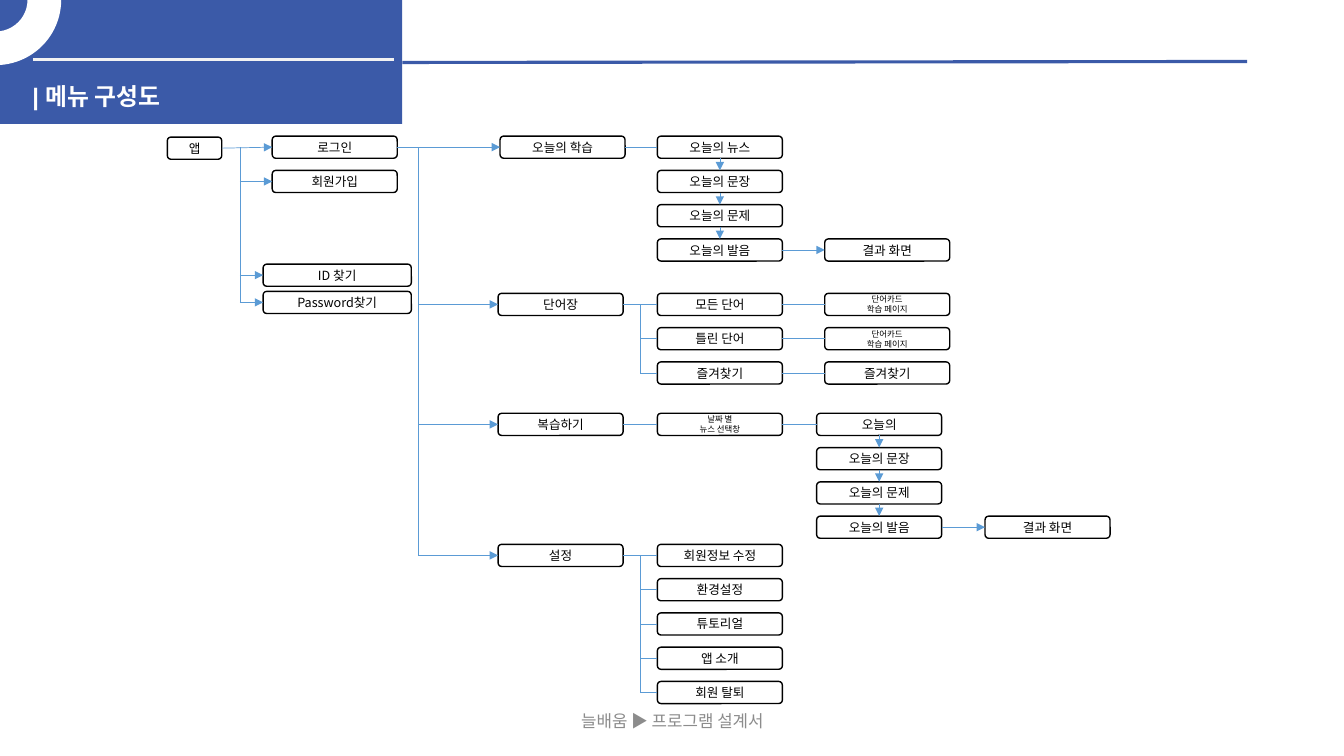
"""Build the app menu structure slide."""
from lxml import etree
from pptx import Presentation
from pptx import util as u
from pptx.dml.color import RGBColor
from pptx.enum import shapes, text
from pptx.oxml.ns import qn

COLORS = {"blue": "3B5AA8", "link": "5B9BD5", "white": "FFFFFF",
          "rule": "F2F2F2", "black": "000000", "gray": "8C8C8C"}
KOREAN = "Noto Sans CJK KR"


def add_run(paragraph, wording, size, color, font=KOREAN):
    run = paragraph.add_run()
    run.text = wording
    run.font.size = u.Pt(size)
    run.font.name = font
    run.font.color.rgb = RGBColor.from_string(COLORS[color])
    etree.SubElement(run.font._element, qn("a:ea")).set("typeface", KOREAN)
    return run


def add_line(x1, y1, x2, y2, color="link", width=0.5, arrow=False):
    line = slide.shapes.add_connector(shapes.MSO_CONNECTOR.STRAIGHT, x1, y1, x2, y2)
    line.line.color.rgb = RGBColor.from_string(COLORS[color])
    line.line.width = u.Pt(width)
    if arrow:
        etree.SubElement(line.line._get_or_add_ln(), qn("a:tailEnd")).set("type", "triangle")
    etree.SubElement(line._element.spPr, qn("a:effectLst"))
    return line


prs = Presentation()
prs.slide_width = u.Inches(13.33)
prs.slide_height = u.Inches(7.5)
slide = prs.slides.add_slide(prs.slide_layouts[5])

footer = slide.shapes.add_textbox(u.Inches(4.42), u.Inches(6.95), u.Inches(4.5), u.Inches(0.4))
footer.text_frame.word_wrap = True
footer.text_frame.vertical_anchor = text.MSO_ANCHOR.MIDDLE
footer_line = footer.text_frame.paragraphs[0]
footer_line.alignment = text.PP_ALIGN.CENTER
add_run(footer_line, "늘배움 ▶ 프로그램 설계서", 12, "gray")

card = "단어카드\n학습 페이지"
menu_columns = {
    "app": (1.66, 1.36, 0.54, 0.34, ["앱"]),
    "entry": (2.7, 1.35, 1.24, 0.34, ["로그인", "회원가입"]),
    "find": (2.61, 2.62, 1.47, 0.27, ["ID 찾기", "Password찾기"]),
    "study": (4.96, 1.35, 1.24, 0.34, ["오늘의 학습"]),
    "wordbook": (4.94, 2.91, 1.24, 0.34, ["단어장"]),
    "review": (4.94, 4.1, 1.24, 0.34, ["복습하기"]),
    "settings": (4.94, 5.4, 1.24, 0.34, ["설정"]),
    "study_steps": (6.52, 1.35, 1.24, 0.34,
                    ["오늘의 뉴스", "오늘의 문장", "오늘의 문제", "오늘의 발음"]),
    "words": (6.52, 2.91, 1.24, 0.34, ["모든 단어", "틀린 단어", "즐겨찾기"]),
    "dates": (6.52, 4.1, 1.24, 0.34, ["날짜 별\n뉴스 선택창"]),
    "options": (6.52, 5.4, 1.24, 0.34,
                ["회원정보 수정", "환경설정", "튜토리얼", "앱 소개", "회원 탈퇴"]),
    "study_result": (8.18, 2.37, 1.24, 0.34, ["결과 화면"]),
    "cards": (8.18, 2.91, 1.24, 0.34, [card, card, "즐겨찾기"]),
    "review_steps": (8.1, 4.1, 1.24, 0.34,
                     ["오늘의", "오늘의 문장", "오늘의 문제", "오늘의 발음"]),
    "review_result": (9.77, 5.12, 1.24, 0.34, ["결과 화면"]),
}
menu = {}
for column, (left, top, width, pitch, labels) in menu_columns.items():
    menu[column] = []
    for row, label in enumerate(labels):
        box = slide.shapes.add_shape(
            shapes.MSO_SHAPE.ROUNDED_RECTANGLE, u.Inches(left),
            u.Inches(top + row * pitch), u.Inches(width), u.Inches(0.22))
        box.shadow.inherit = False
        box.fill.solid()
        box.fill.fore_color.rgb = RGBColor.from_string(COLORS["white"])
        box.line.color.rgb = RGBColor.from_string(COLORS["black"])
        box.line.width = u.Pt(1)
        frame = box.text_frame
        frame.margin_top = frame.margin_bottom = 0
        frame.vertical_anchor = text.MSO_ANCHOR.MIDDLE
        parts = label.split("\n")
        for index, part in enumerate(parts):
            paragraph = frame.paragraphs[0] if index == 0 else frame.add_paragraph()
            paragraph.alignment = text.PP_ALIGN.CENTER
            add_run(paragraph, part, 9 if len(parts) == 1 else 6, "black")
        menu[column].append(box)

app, login, signup = menu["app"][0], *menu["entry"]
study, wordbook, review, settings = (
    menu[name][0] for name in ("study", "wordbook", "review", "settings"))
study_steps, review_steps = menu["study_steps"], menu["review_steps"]

links = [
    (study, 3, study_steps[0], 1, False),
    (review, 3, menu["dates"][0], 1, False),
    (menu["dates"][0], 3, review_steps[0], 1, False),
    (study_steps[-1], 3, menu["study_result"][0], 1, True),
    (review_steps[-1], 3, menu["review_result"][0], 1, True),
]
links += [(word, 3, page, 1, False) for word, page in zip(menu["words"], menu["cards"])]
for steps in (study_steps, review_steps):
    links += [(step, 2, following, 0, True) for step, following in zip(steps, steps[1:])]

branches = [
    (2.38, app, [login, signup, *menu["find"]], True),
    (4.15, login, [study, wordbook, review, settings], True),
    (6.35, wordbook, menu["words"], False),
    (6.35, settings, menu["options"], False),
]
for trunk, parent, children, arrow in branches:
    links.append((parent, 3, children[0], 1, arrow))
    trunk_x = u.Inches(trunk)
    middles = [child.top + child.height // 2 for child in children]
    add_line(trunk_x, middles[0], trunk_x, middles[-1])
    for child, middle in zip(children[1:], middles[1:]):
        add_line(trunk_x, middle, child.left, middle, arrow=arrow).end_connect(child, 1)

for source, source_side, target, target_side, arrow in links:
    link = add_line(source.left, source.top, target.left, target.top, arrow=arrow)
    link.begin_connect(source, source_side)
    link.end_connect(target, target_side)

banner = slide.shapes.add_shape(
    shapes.MSO_SHAPE.RECTANGLE, u.Inches(-0.02), 0, u.Inches(4.01), u.Inches(1.23))
banner.shadow.inherit = False
banner.fill.solid()
banner.fill.fore_color.rgb = RGBColor.from_string(COLORS["blue"])
banner.line.fill.background()
add_line(u.Inches(3.99), u.Inches(0.62), u.Inches(12.37), u.Inches(0.61), "blue", 2.25)

title = slide.shapes.title
title.left, title.top, title.width, title.height = (
    u.Inches(value) for value in (0.22, 0.76, 3.07, 0.32))
title.text_frame.auto_size = text.MSO_AUTO_SIZE.NONE
title.text_frame.vertical_anchor = text.MSO_ANCHOR.TOP
heading = title.text_frame.paragraphs[0]
heading.alignment = text.PP_ALIGN.LEFT
add_run(heading, "| 메뉴 구성도", 17, "white", "Arial").font.bold = True
banner.element.addnext(title.element)

ring = slide.shapes.add_shape(
    shapes.MSO_SHAPE.BLOCK_ARC, u.Inches(-0.69), u.Inches(-0.64), u.Inches(1.29), u.Inches(1.28))
ring.adjustments[0] = 0
ring.adjustments[1] = 54.41
ring.adjustments[2] = 0.25
ring.shadow.inherit = False
ring.fill.solid()
ring.fill.fore_color.rgb = RGBColor.from_string(COLORS["white"])
ring.line.color.rgb = RGBColor.from_string(COLORS["white"])
ring.line.width = u.Pt(1)
add_line(u.Inches(0.33), u.Inches(0.59), u.Inches(3.91), u.Inches(0.59), "rule", 2.25)

prs.save("out.pptx")
